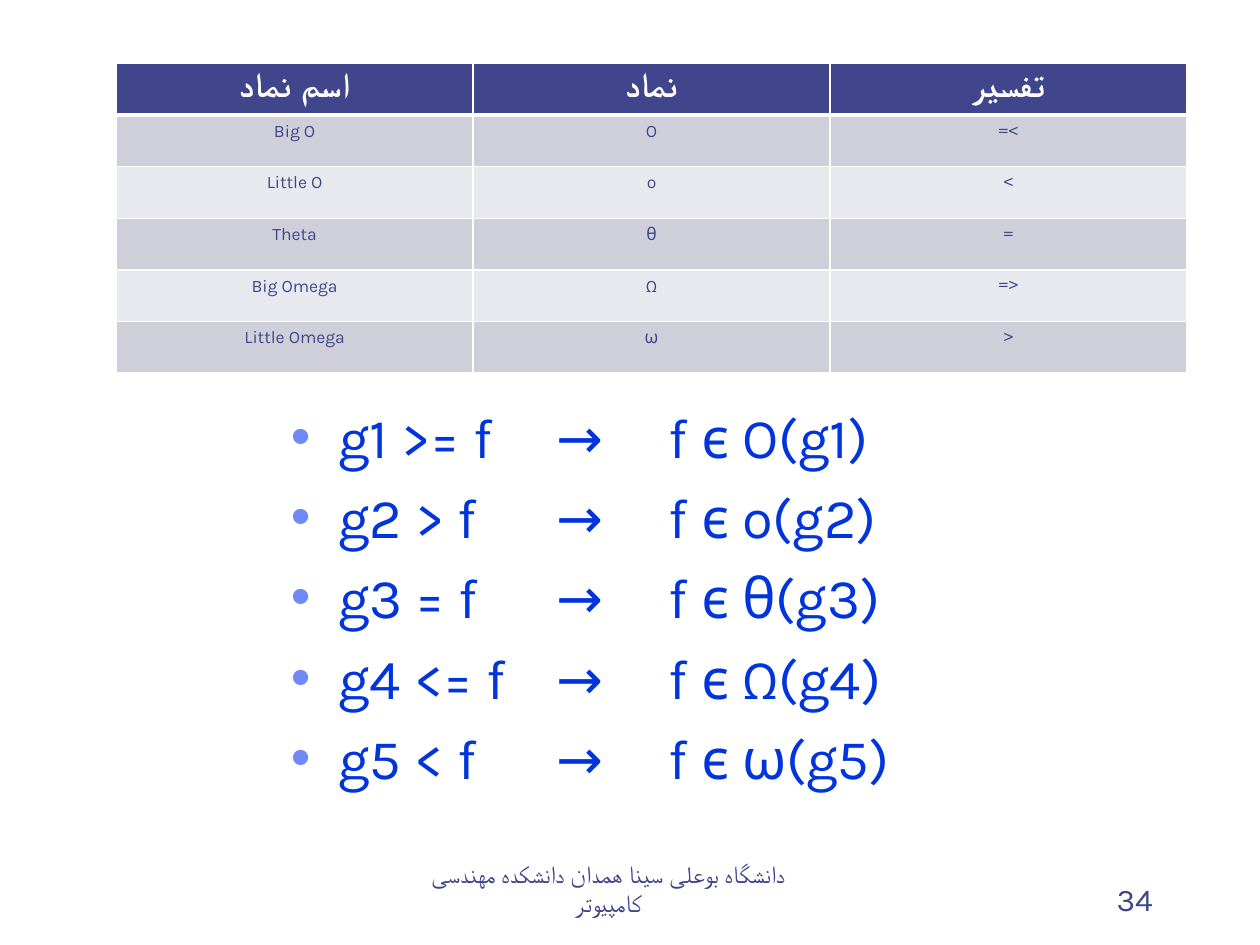
from lxml import etree
from pptx import Presentation
from pptx.dml.color import RGBColor
from pptx.enum.text import MSO_ANCHOR, MSO_AUTO_SIZE, PP_ALIGN
from pptx.oxml.ns import qn
from pptx.util import Cm, Pt

LEFT, CENTER, RIGHT = PP_ALIGN.LEFT, PP_ALIGN.CENTER, PP_ALIGN.RIGHT
BOTTOM = MSO_ANCHOR.BOTTOM
NO_AUTOFIT = MSO_AUTO_SIZE.NONE

FONT = "Karla"
INDIGO = RGBColor(0x40, 0x45, 0x8C)
BLUE = RGBColor(0x00, 0x34, 0xDC)
BULLET_BLUE = RGBColor(0x6F, 0x89, 0xF7)
WHITE = RGBColor(0xFF, 0xFF, 0xFF)
BAND_DARK = RGBColor(0xCF, 0xCF, 0xDA)
BAND_LIGHT = RGBColor(0xE8, 0xE9, 0xEE)


def write_text(paragraph, text, size, color, align=LEFT, bold=False, rtl=False):
    paragraph.alignment = align
    if rtl:
        paragraph._p.get_or_add_pPr().set("rtl", "1")
    run = paragraph.add_run()
    run.text = text
    run.font.name = FONT
    run.font.size = Pt(size)
    run.font.bold = bold
    run.font.color.rgb = color


def add_color(parent, tag, color):
    holder = etree.SubElement(parent, qn(tag))
    etree.SubElement(holder, qn("a:srgbClr"), val=str(color))


presentation = Presentation()
presentation.slide_width = Cm(25.4)
presentation.slide_height = Cm(19.05)
slide = presentation.slides.add_slide(presentation.slide_layouts[1])
title = slide.shapes.title
title.element.getparent().remove(title.element)

symbol_rows = [
    ("اسم نماد", "نماد", "تفسیر"),
    ("Big O", "O", ">="),
    ("Little O", "o", ">"),
    ("Theta", "θ", "="),
    ("Big Omega", "Ω", "<="),
    ("Little Omega", "ω", "<"),
]
table = slide.shapes.add_table(
    len(symbol_rows), 3, Cm(2.34), Cm(1.28), Cm(21.59), Cm(6.24)
).table
for row_index, row_texts in enumerate(symbol_rows):
    is_header = row_index == 0
    band = BAND_DARK if row_index % 2 else BAND_LIGHT
    for column_index, text in enumerate(row_texts):
        cell = table.cell(row_index, column_index)
        write_text(
            cell.text_frame.paragraphs[0],
            text,
            size=20 if is_header else 10,
            color=WHITE if is_header else INDIGO,
            align=CENTER,
            bold=is_header,
            rtl=True,
        )
        for side in ("L", "R", "T", "B"):
            thick = (is_header and side == "B") or (row_index == 1 and side == "T")
            border = etree.SubElement(
                cell._tc.get_or_add_tcPr(), qn("a:ln" + side), w=str(Pt(3 if thick else 1))
            )
            add_color(border, "a:solidFill", WHITE)
        cell.fill.solid()
        cell.fill.fore_color.rgb = INDIGO if is_header else band

footer_items = [
    ("دانشگاه بوعلی سینا همدان دانشکده مهندسی کامپيوتر", 7.82, 8.89, 14, CENTER),
    ("34", 18.21, 5.28, 18, RIGHT),
]
for text, left, width, size, align in footer_items:
    text_frame = slide.shapes.add_textbox(Cm(left), Cm(17.35), Cm(width), Cm(1.27)).text_frame
    text_frame.word_wrap = True
    text_frame.vertical_anchor = BOTTOM
    write_text(text_frame.paragraphs[0], text, size=size, color=INDIGO, align=align)

body = slide.placeholders[1]
body.left, body.top, body.width, body.height = Cm(5.61), Cm(7.98), Cm(13.28), Cm(8.46)
body.text_frame.auto_size = NO_AUTOFIT
relations = [
    "g1 >= f\t →\tf ϵ O(g1)",
    "g2 > f\t → \tf ϵ o(g2)",
    "g3 = f\t → \tf ϵ θ(g3)",
    "g4 <= f\t → \tf ϵ Ω(g4)",
    "g5 < f\t → \tf ϵ ω(g5)",
]
for index, relation in enumerate(relations):
    paragraph = body.text_frame.add_paragraph() if index else body.text_frame.paragraphs[0]
    write_text(paragraph, relation, size=32, color=BLUE)
    paragraph.space_before = Pt(7.5)
    properties = paragraph._p.get_or_add_pPr()
    properties.set("marL", str(Cm(0.95)))
    properties.set("indent", str(Cm(-0.95)))
    add_color(properties, "a:buClr", BULLET_BLUE)
    etree.SubElement(properties, qn("a:buChar"), char="•")
    tab_list = etree.SubElement(properties, qn("a:tabLst"))
    for position in (5.08, 7.62):
        etree.SubElement(tab_list, qn("a:tab"), pos=str(Cm(position)), algn="l")

presentation.save("out.pptx")
